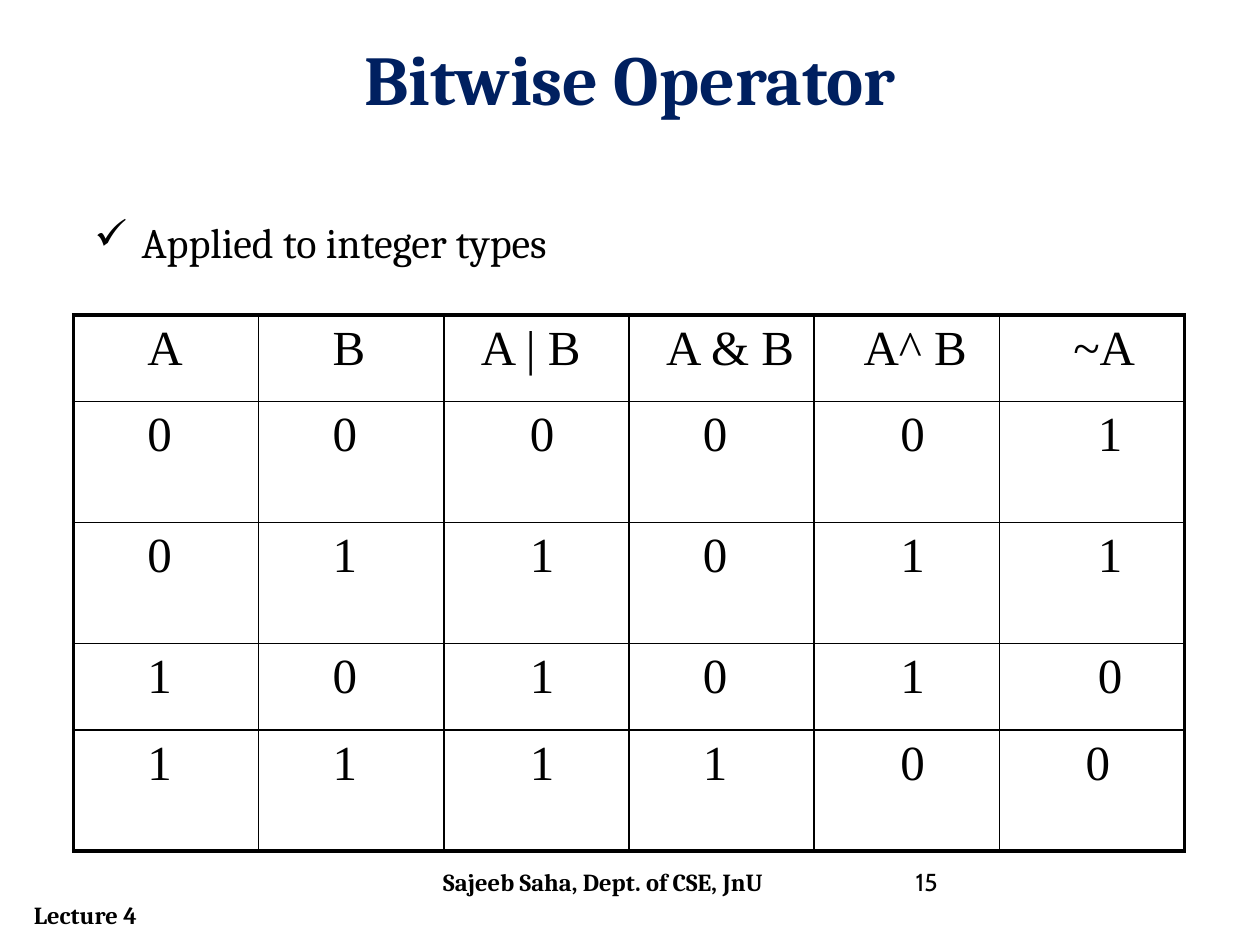
"""Build the Bitwise Operator slide with its truth table."""
import pptx
import pptx.dml.color
import pptx.enum.text
import pptx.oxml
import pptx.oxml.ns
import pptx.util
from lxml import etree

Pt = pptx.util.Pt
BLACK = pptx.dml.color.RGBColor(0, 0, 0)
NAVY = pptx.dml.color.RGBColor(0x00, 0x20, 0x60)
SPACE_WIDTH = 7
THIN, THICK = 1, 2.25


def add_run(paragraph, text, size, font="Cambria", color=BLACK, bold=False):
    run = paragraph.add_run()
    run.text = text
    run.font.name = font
    run.font.size = Pt(size)
    run.font.bold = bold
    run.font.color.rgb = color


def add_text(slide, bounds, text, size, **style):
    shape = slide.shapes.add_textbox(*[Pt(value) for value in bounds])
    shape.text_frame.word_wrap = True
    paragraph = shape.text_frame.paragraphs[0]
    add_run(paragraph, text, size, **style)
    return paragraph


presentation = pptx.Presentation()
presentation.slide_width = Pt(720)
presentation.slide_height = Pt(540)
slide = presentation.slides.add_slide(presentation.slide_layouts[6])

add_text(slide, (12.24, 510.5, 144, 24.5), "Lecture 4", 14, bold=True)

bullet_paragraph = add_text(slide, (46.8, 120.2, 635, 41.8), "Applied to integer types", 24)
properties = bullet_paragraph._p.get_or_add_pPr()
properties.set("marL", str(Pt(27)))
properties.set("indent", str(Pt(-27)))
bullet = etree.SubElement(properties, pptx.oxml.ns.qn("a:buChar"))
bullet.set("char", "✓")

rows = [
    ("A", "B", "A | B", "A & B", "A^ B", "~A"),
    ("0", "0", "0", "0", "0", "1"),
    ("0", "1", "1", "0", "1", "1"),
    ("1", "0", "1", "0", "1", "0"),
    ("1", "1", "1", "1", "0", "0"),
]
row_heights = [49.5, 69.1, 69.1, 49.5, 69.1]
header_indents = [5, 5, 2, 2, 3, 5]
value_indents = [5, 5, 6, 5, 6, 7]
last_row_indents = [5, 5, 6, 5, 6, 6]
row_indents = [header_indents] + [value_indents] * 3 + [last_row_indents]
last_row, last_column = len(rows) - 1, len(rows[0]) - 1

frame = slide.shapes.add_table(
    len(rows), len(rows[0]), Pt(42), Pt(180), Pt(635), Pt(sum(row_heights))
)
table = frame.table
table.first_row = False
table.horz_banding = False
for column in table.columns:
    column.width = Pt(635 / len(rows[0]))

for row_index, (values, indents, height) in enumerate(zip(rows, row_indents, row_heights)):
    table.rows[row_index].height = Pt(height)
    for column_index, (value, indent) in enumerate(zip(values, indents)):
        cell = table.cell(row_index, column_index)
        paragraph = cell.text_frame.paragraphs[0]
        paragraph._p.get_or_add_pPr().set("marL", str(Pt(indent * SPACE_WIDTH)))
        add_run(paragraph, value, 28, font="Times New Roman")
        outer_edges = {
            "lnL": column_index == 0,
            "lnR": column_index == last_column,
            "lnT": row_index == 0,
            "lnB": row_index == last_row,
        }
        cell_properties = cell._tc.get_or_add_tcPr()
        for edge, is_outer in outer_edges.items():
            line = etree.SubElement(cell_properties, pptx.oxml.ns.qn("a:" + edge))
            line.set("w", str(Pt(THICK if is_outer else THIN)))
            fill = etree.SubElement(line, pptx.oxml.ns.qn("a:solidFill"))
            etree.SubElement(fill, pptx.oxml.ns.qn("a:srgbClr")).set("val", str(BLACK))
        cell.fill.background()

add_text(slide, (246.2, 491.8, 228.2, 37.4), "Sajeeb Saha, Dept. of CSE, JnU", 14, bold=True)
add_text(slide, (516.2, 491.8, 167.8, 37.4), "15", 14, font="Cabin")
title = add_text(slide, (36, 16.6, 648, 49), "Bitwise Operator", 40, color=NAVY, bold=True)
title.alignment = pptx.enum.text.PP_ALIGN.CENTER

presentation.save("out.pptx")
